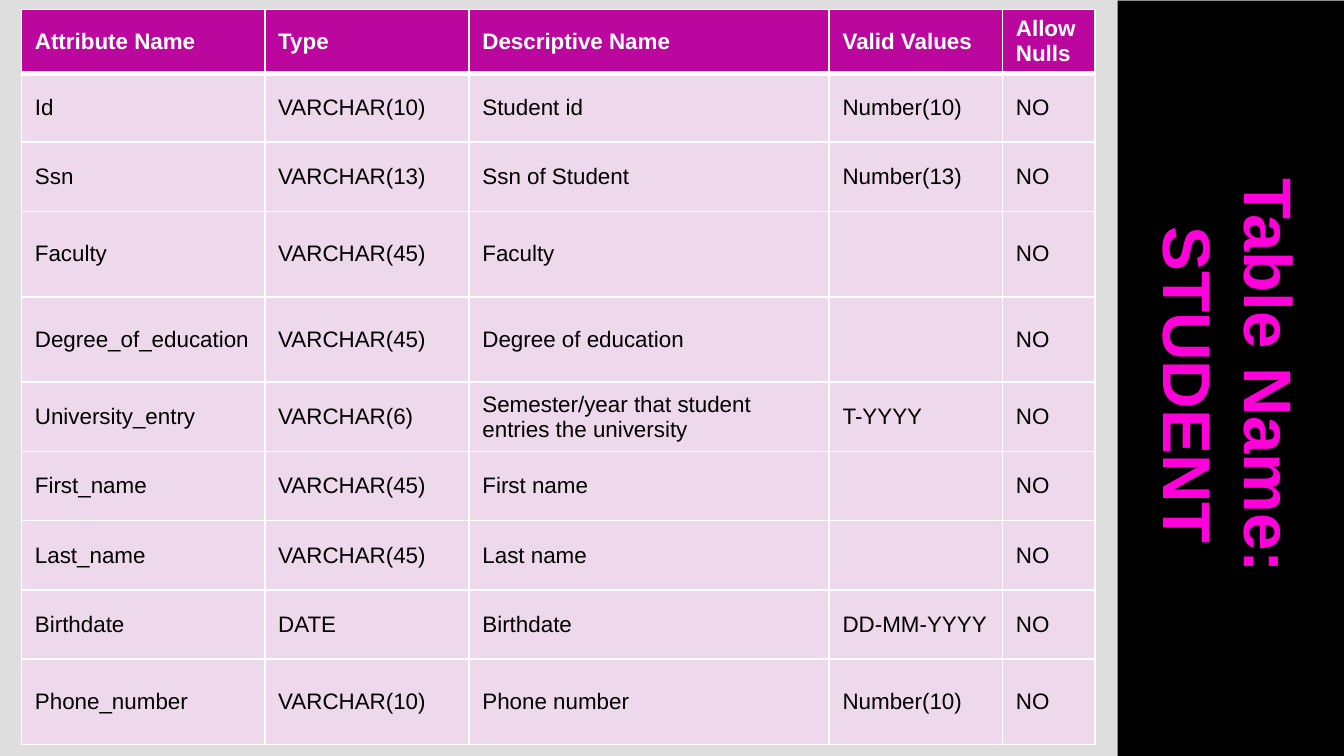
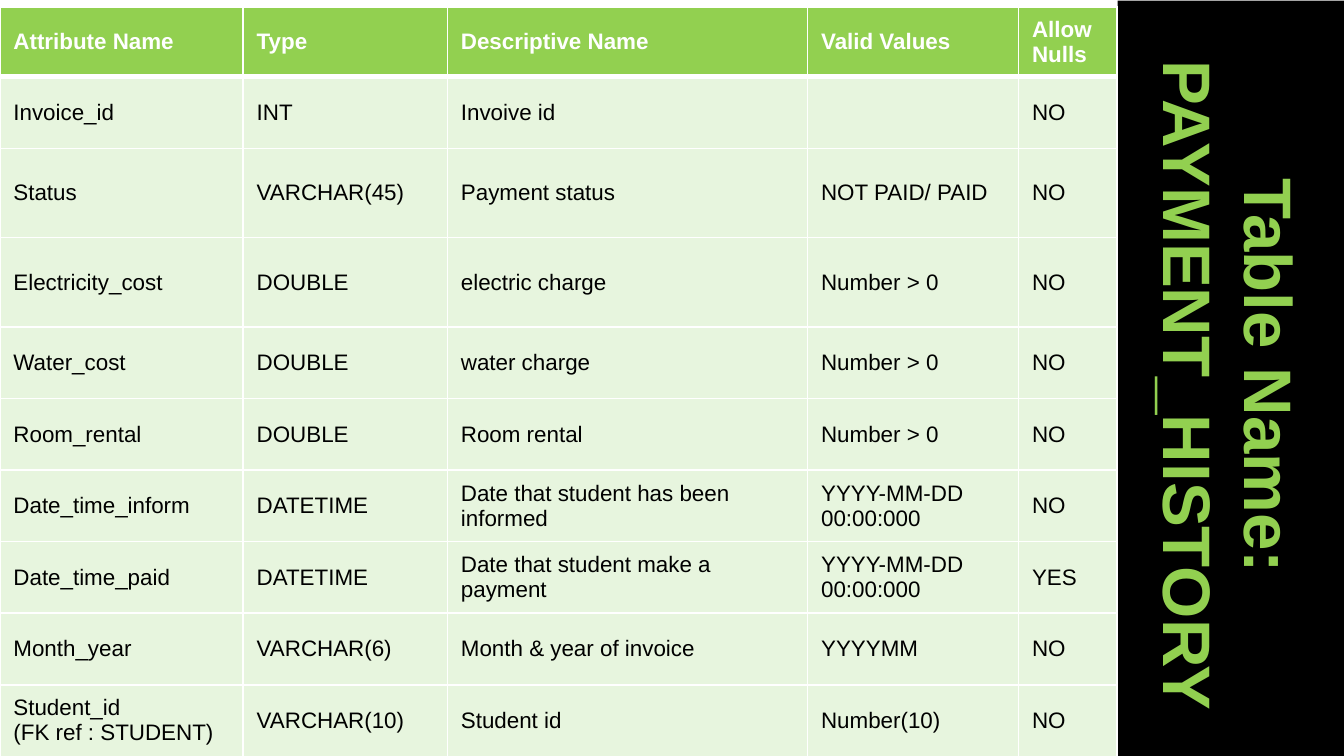
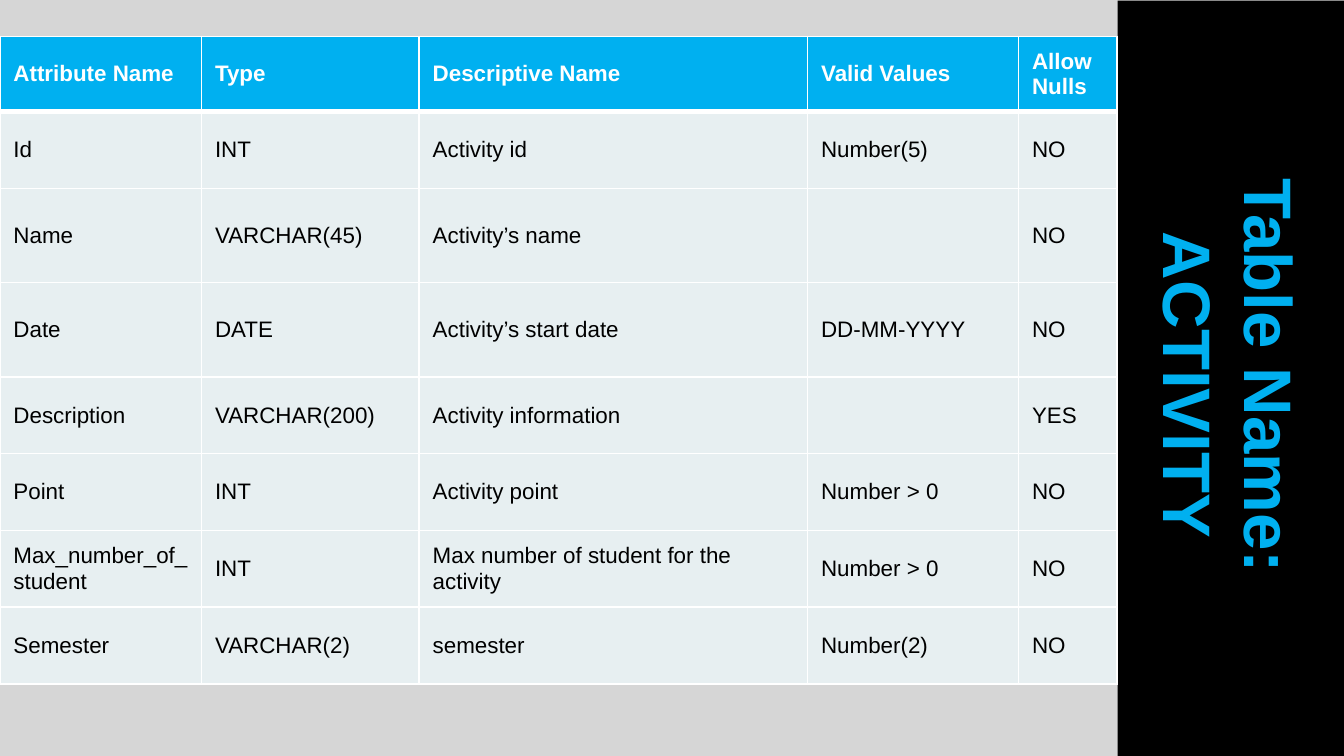
from dataclasses import dataclass

from lxml import etree
from pptx import Presentation
from pptx.dml.color import RGBColor
from pptx.enum import text
from pptx.oxml import ns
from pptx.util import Inches, Pt


@dataclass(frozen=True)
class Theme:
    """Colours, type sizes and line widths shared by the slides."""

    font: str = "Arial"
    title_size: int = 36
    cell_size: int = 12
    white: str = "FFFFFF"
    black: str = "000000"
    outline: float = 0.75
    rule: float = 1
    header_rule: float = 3


@dataclass(frozen=True)
class Palette:
    """Colours that set one entity's slide apart."""

    background: str
    title: str
    header: str
    body: str
    opacity: int = 100


THEME = Theme()
HEADINGS = ("Attribute Name", "Type", "Descriptive Name", "Valid Values", "Allow Nulls")

STUDENT_ROWS = [
    ("Id", "VARCHAR(10)", "Student id", "Number(10)", "NO"),
    ("Ssn", "VARCHAR(13)", "Ssn of Student", "Number(13)", "NO"),
    ("Faculty", "VARCHAR(45)", "Faculty", "", "NO"),
    ("Degree_of_education", "VARCHAR(45)", "Degree of education", "", "NO"),
    ("University_entry", "VARCHAR(6)", "Semester/year that student entries the university", "T-YYYY", "NO"),
    ("First_name", "VARCHAR(45)", "First name", "", "NO"),
    ("Last_name", "VARCHAR(45)", "Last name", "", "NO"),
    ("Birthdate", "DATE", "Birthdate", "DD-MM-YYYY", "NO"),
    ("Phone_number", "VARCHAR(10)", "Phone number", "Number(10)", "NO"),
]
PAYMENT_ROWS = [
    ("Invoice_id", "INT", "Invoive id", "", "NO"),
    ("Status", "VARCHAR(45)", "Payment status", "NOT PAID/ PAID", "NO"),
    ("Electricity_cost", "DOUBLE", "electric charge", "Number > 0", "NO"),
    ("Water_cost", "DOUBLE", "water charge", "Number > 0", "NO"),
    ("Room_rental", "DOUBLE", "Room rental", "Number > 0", "NO"),
    ("Date_time_inform", "DATETIME", "Date that student has been informed", "YYYY-MM-DD 00:00:000", "NO"),
    ("Date_time_paid", "DATETIME", "Date that student make a payment", "YYYY-MM-DD 00:00:000", "YES"),
    ("Month_year", "VARCHAR(6)", "Month & year of invoice", "YYYYMM", "NO"),
    ("Student_id\n(FK ref : STUDENT)", "VARCHAR(10)", "Student id", "Number(10)", "NO"),
]
ACTIVITY_ROWS = [
    ("Id", "INT", "Activity id", "Number(5)", "NO"),
    ("Name", "VARCHAR(45)", "Activity’s name", "", "NO"),
    ("Date", "DATE", "Activity’s start date", "DD-MM-YYYY", "NO"),
    ("Description", "VARCHAR(200)", "Activity information", "", "YES"),
    ("Point", "INT", "Activity point", "Number > 0", "NO"),
    ("Max_number_of_student", "INT", "Max number of student for the activity", "Number > 0", "NO"),
    ("Semester", "VARCHAR(2)", "semester", "Number(2)", "NO"),
]


def paint(fill, color):
    """Give a fill one solid colour."""
    fill.solid()
    fill.fore_color.rgb = RGBColor.from_string(color)


def make_line(tag, color, width):
    """Return a solid line element for a cell edge or a text outline."""
    line = etree.Element(ns.qn(tag), w=str(Pt(width)))
    solid = etree.SubElement(line, ns.qn("a:solidFill"))
    etree.SubElement(solid, ns.qn("a:srgbClr"), val=color)
    return line


def add_span(para, words, size, color, bold):
    """Add one formatted run to a paragraph."""
    span = para.add_run()
    span.text = words
    span.font.name = THEME.font
    span.font.size = Pt(size)
    span.font.bold = bold
    span.font.color.rgb = RGBColor.from_string(color)
    return span


def add_lines(frame, lines):
    """Yield a paragraph of the frame with each line of words."""
    for index, words in enumerate(lines):
        yield (frame.add_paragraph() if index else frame.paragraphs[0]), words


def add_title(page, entity, color):
    """Turn the title placeholder into the upright band on the right."""
    box = page.shapes.title
    box.left, box.top = Inches(6.3), Inches(2.02)
    box.width, box.height = Inches(5.72), Inches(1.69)
    box.rotation = 90
    paint(box.fill, THEME.black)
    frame = box.text_frame
    frame.word_wrap = True
    frame.auto_size = text.MSO_AUTO_SIZE.NONE
    frame.vertical_anchor = text.MSO_ANCHOR.MIDDLE
    for para, words in add_lines(frame, ("Table Name: ", entity)):
        para.alignment = text.PP_ALIGN.CENTER
        span = add_span(para, words, THEME.title_size, color, True)
        outline = make_line("a:ln", THEME.white, THEME.outline)
        span.font._element.insert(0, outline)


def format_cell(cell, row_index, palette):
    """Set the fill and the four edges of a cell."""
    header = row_index == 0
    paint(cell.fill, palette.header if header else palette.body)
    properties = cell._tc.get_or_add_tcPr()
    if not header and palette.opacity < 100:
        color = properties.find(".//" + ns.qn("a:srgbClr"))
        etree.SubElement(color, ns.qn("a:alpha"), val=str(palette.opacity * 1000))
    top = THEME.header_rule if row_index == 1 else THEME.rule
    bottom = THEME.header_rule if header else THEME.rule
    edges = {"L": THEME.rule, "R": THEME.rule, "T": top, "B": bottom}
    for index, (side, width) in enumerate(edges.items()):
        properties.insert(index, make_line(f"a:ln{side}", THEME.white, width))


def add_attribute_table(page, left, top, widths, heights, rows, palette):
    """Add the table that describes an entity's attributes."""
    frame = page.shapes.add_table(
        len(heights), len(widths), Inches(left), Inches(top),
        Inches(sum(widths)), Inches(sum(heights)))
    table = frame.table
    table.horz_banding = False
    for column, width in zip(table.columns, widths):
        column.width = Inches(width)
    for row_index, (values, height) in enumerate(zip([HEADINGS, *rows], heights)):
        table.rows[row_index].height = Inches(height)
        header = row_index == 0
        for cell, value in zip(table.rows[row_index].cells, values):
            format_cell(cell, row_index, palette)
            cell.vertical_anchor = text.MSO_ANCHOR.MIDDLE
            if not value:
                continue
            for para, words in add_lines(cell.text_frame, value.split("\n")):
                add_span(para, words, THEME.cell_size,
                         THEME.white if header else THEME.black, header)


def row_heights(total, header, normal, tall, tall_rows, count):
    """Return header, normal and tall row heights scaled to fill the total."""
    heights = [header] + [tall if row in tall_rows else normal for row in range(1, count + 1)]
    return [height * total / sum(heights) for height in heights]


def add_entity_page(deck, entity, palette, left, top, widths, heights, rows):
    """Add a slide with one entity's title band and attribute table."""
    page = deck.slides.add_slide(deck.slide_layouts.get_by_name("Title Only"))
    paint(page.background.fill, palette.background)
    add_attribute_table(page, left, top, widths, heights, rows, palette)
    add_title(page, entity, palette.title)


def main():
    """Build and save the deck."""
    deck = Presentation()
    deck.slide_width, deck.slide_height = Inches(10), Inches(10 * 9 / 16)
    add_entity_page(
        deck, "STUDENT", Palette("DEDEDE", "FF00DA", "BC079F", "FED3F8", 50),
        0.16, 0.07, (1.81, 1.52, 2.68, 1.29, 0.69),
        row_heights(5.36, 0.36, 0.51, 0.63, (3, 4, 9), len(STUDENT_ROWS)), STUDENT_ROWS)
    add_entity_page(
        deck, "PAYMENT_HISTORY", Palette("FFFFFF", "92D050", "92D050", "C3E8AD", 40),
        0, 0.05, (1.81, 1.52, 2.68, 1.57, 0.73),
        row_heights(5.58, 0.52, 0.53, 0.66, (2, 3), len(PAYMENT_ROWS)), PAYMENT_ROWS)
    add_entity_page(
        deck, "ACTIVITY", Palette("D6D6D6", "00B0F0", "00B0F0", "E7EFF1"),
        0, 0.27, (1.5, 1.62, 2.89, 1.57, 0.73),
        row_heights(4.82, 0.56, 0.57, 0.7, (2, 3), len(ACTIVITY_ROWS)), ACTIVITY_ROWS)
    deck.save("out.pptx")


if __name__ == "__main__":
    main()
